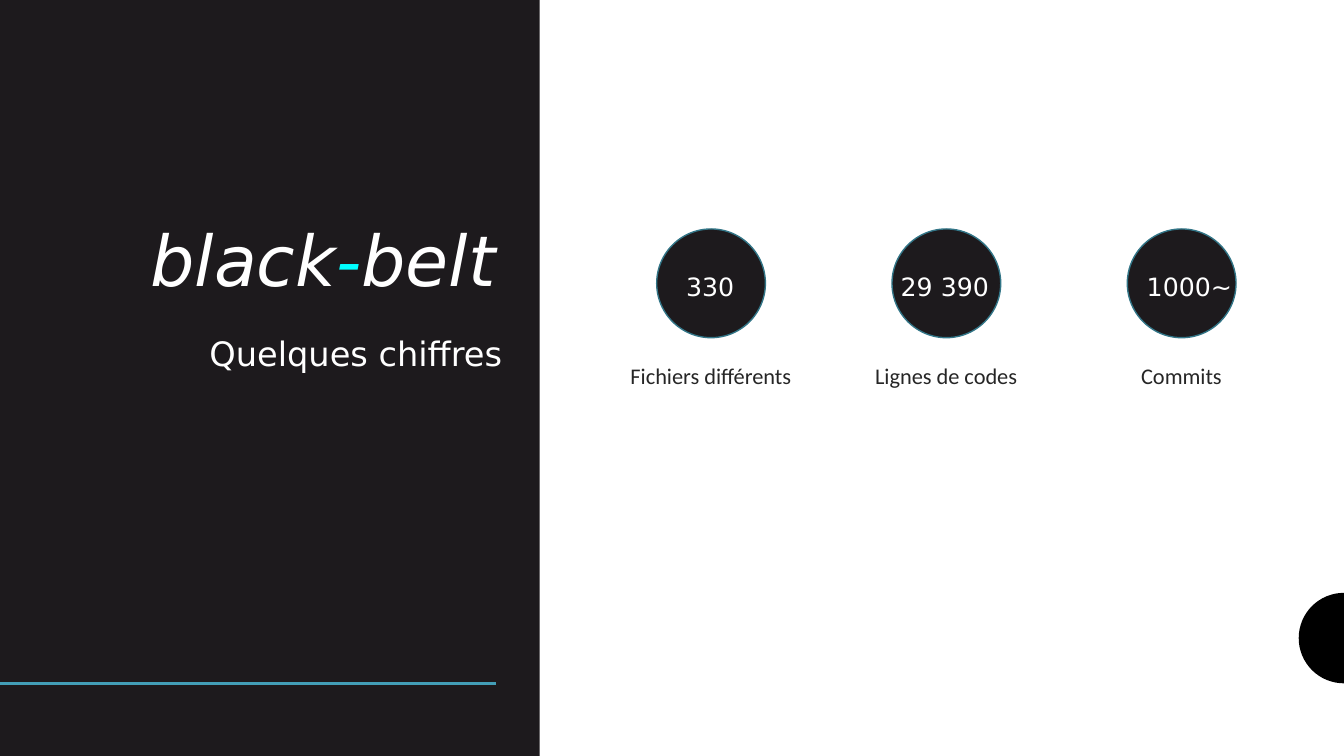
from math import cos, pi, sin

from lxml import etree
from pptx import Presentation
from pptx.dml.color import RGBColor
from pptx.enum.shapes import MSO_CONNECTOR, MSO_SHAPE
from pptx.enum.text import MSO_ANCHOR, PP_ALIGN
from pptx.oxml.ns import qn
from pptx.util import Cm, Pt

RECTANGLE, OVAL = MSO_SHAPE.RECTANGLE, MSO_SHAPE.OVAL
STRAIGHT = MSO_CONNECTOR.STRAIGHT
TOP, BOTTOM = MSO_ANCHOR.TOP, MSO_ANCHOR.BOTTOM
LEFT, CENTER, RIGHT = PP_ALIGN.LEFT, PP_ALIGN.CENTER, PP_ALIGN.RIGHT

COLORS = {
    "dark": "1D1A1D", "white": "FFFFFF", "black": "000000", "cyan": "00FFFF",
    "teal": "439EB7", "ring": "327587", "label": "262626",
}
HEADING_FONT, LABEL_FONT = "DejaVu Sans", "Calibri"
SLIDE_WIDTH, SLIDE_HEIGHT = 33.87, 19.05
COLUMN_LEFT, COLUMN_PITCH = 15.21, 5.93
FIGURES = [
    ("330", 1.83, 2.31, "Fichiers différents"),
    ("29\u00a0390", 1.31, 3.53, "Lignes de codes"),
    ("1000~", 1.58, 3.53, "Commits"),
]


def color(name):
    return RGBColor.from_string(COLORS[name])


def set_values(target, values):
    for name, value in values.items():
        setattr(target, name, value)


def paint(shape, fill, line=None):
    shape.shadow.inherit = False
    shape.fill.solid()
    shape.fill.fore_color.rgb = color(fill)
    if line:
        shape.line.color.rgb = color(line)
        shape.line.width = Pt(1)
    else:
        shape.line.fill.background()


def add_block(page, kind, place, fill, line=None):
    block = page.shapes.add_shape(kind, *map(Cm, place))
    paint(block, fill, line)
    return block


def write(box, spans, font, frame_format, para_format):
    frame = box.text_frame
    set_values(frame, {"word_wrap": True, **frame_format})
    para = frame.paragraphs[0]
    set_values(para, para_format)
    for text, color_name in spans:
        span = para.add_run()
        span.text = text
        set_values(span.font, font)
        span.font.color.rgb = color(color_name)


def add_text(page, place, spans, font, anchor=TOP, para_format=None):
    box = page.shapes.add_textbox(*map(Cm, place))
    write(box, spans, {"name": HEADING_FONT, **font},
          {"vertical_anchor": anchor}, para_format or {"alignment": LEFT})


def add_half_disc(page, center_x, center_y, radius, steps=32):
    angles = [pi / 2 + pi * step / steps for step in range(steps + 1)]
    points = [(Cm(center_x + radius * cos(angle)), Cm(center_y + radius * sin(angle)))
              for angle in angles]
    builder = page.shapes.build_freeform(*points[0])
    builder.add_line_segments(points[1:], close=True)
    paint(builder.convert_to_shape(), "black")


def add_rule(page, right, height):
    rule = page.shapes.add_connector(STRAIGHT, Cm(0), Cm(height), Cm(right), Cm(height))
    rule.line.color.rgb = color("teal")
    rule.line.width = Pt(2)
    properties = rule._element.find(qn("p:spPr"))
    etree.SubElement(properties, qn("a:effectLst"))


def add_figure(page, left, value, value_offset, value_width, label):
    card = add_block(page, RECTANGLE, (left, 5.33, 5.41, 7.49), "white")
    write(card, [(label, "label")], {"name": LABEL_FONT, "size": Pt(16)},
          {"vertical_anchor": TOP, "margin_left": 0, "margin_right": 0,
           "margin_top": Cm(3.71), "margin_bottom": 0},
          {"alignment": CENTER, "line_spacing": 1.12, "space_before": Pt(9)})
    add_block(page, OVAL, (left + 1.34, 5.77, 2.74, 2.74), "dark", "ring")
    add_text(page, (left + value_offset, 6.71, value_width, 1.02),
             [(value, "white")], {"size": Pt(18)})


def main():
    deck = Presentation()
    set_values(deck, {"slide_width": Cm(SLIDE_WIDTH), "slide_height": Cm(SLIDE_HEIGHT)})
    page = deck.slides.add_slide(deck.slide_layouts[6])
    add_half_disc(page, SLIDE_WIDTH, 16.08, 1.14)
    add_block(page, RECTANGLE, (0, 0, 13.6, SLIDE_HEIGHT), "dark")
    add_rule(page, 12.5, 17.22)
    add_text(page, (2.11, 1.55, 10.64, 6.17),
             [("black", "white"), ("-", "cyan"), ("belt", "white")],
             {"size": Pt(50), "italic": True}, BOTTOM,
             {"alignment": RIGHT, "line_spacing": 0.9})
    add_text(page, (5.03, 8.26, 8.59, 1.27),
             [("Quelques chiffres", "white")], {"size": Pt(24)})
    for index, figure in enumerate(FIGURES):
        add_figure(page, COLUMN_LEFT + index * COLUMN_PITCH, *figure)
    deck.save("out.pptx")


main()
